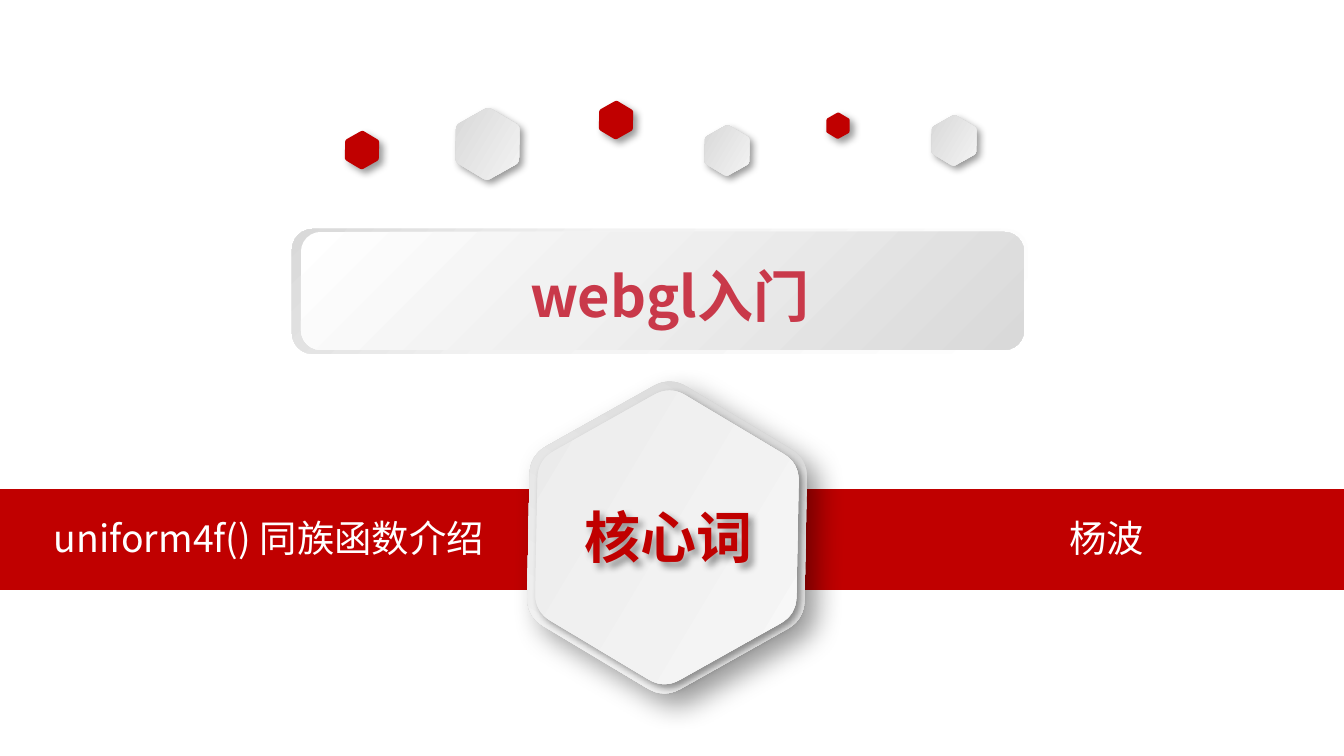
"""Build the title slide with a red band, rounded hexagons and a gradient title plate."""
from dataclasses import dataclass
from math import cos, pi, sin

from lxml.etree import SubElement
from pptx import Presentation
from pptx.dml.color import RGBColor
from pptx.enum.shapes import MSO_SHAPE
from pptx.enum.text import MSO_ANCHOR, MSO_AUTO_SIZE, PP_ALIGN
from pptx.oxml.ns import qn
from pptx.util import Pt

PX = 914400 / 134.4
SLIDE_SIZE = (1344, 756)


@dataclass(frozen=True)
class Theme:
    font: str = "Noto Sans CJK SC"
    red: str = "C00000"
    title: str = "C9394A"
    white: str = "FFFFFF"
    shadow: str = "000000"
    body_size: int = 20
    title_size: int = 30


THEME = Theme()
SILVER = ([(0, "D3D3D3"), (100, "F9F9F9")], 0)
SILVER_RIM = (SILVER[0], 270)
PALE = ([(0, "E9E9E9"), (100, "F9F9F9")], 0)
SOFT, DEEP = (4, 3), (15, 9)

BAND = (0, 489, 1344, 101)
HEXAGONS = [
    (452, 112, 71, SILVER, SOFT),
    (597, 103, 38, THEME.red, SOFT),
    (343, 133, 38, THEME.red, SOFT),
    (702, 128, 50, SILVER, SOFT),
    (825, 114, 26, THEME.red, SOFT),
    (929, 118, 50, SILVER, SOFT),
    (512, 398, 310, SILVER_RIM, DEEP),
    (521, 406, 292, PALE, SOFT),
]
PLATES = [
    ((292, 229, 736, 125), ([(0, "FFFFFF"), (62, "F2F2F2"), (100, "D9D9D9")], 135)),
    ((301, 232, 723, 118), ([(0, "FFFFFF"), (42, "F0F0F0"), (100, "D9D9D9")], 315)),
]
BAND_TEXTS = [
    ("uniform4f() 同族函数介绍", (-8, 509, 554, 59)),
    ("杨波", (872, 509, 470, 59)),
]
TITLE = ("webgl入门", (302, 255, 736, 81))
KEYWORD = ("核心词", (536, 503, 265, 67))
HEXAGON_ASPECT = 0.9
HEXAGON_TURN = 30.9
CORNER_CUT = 0.12


def emu(*lengths):
    return [round(length * PX) for length in lengths]


def paint(shape, fill):
    shape.line.fill.background()
    shape.shadow.inherit = False
    if isinstance(fill, str):
        shape.fill.solid()
        shape.fill.fore_color.rgb = RGBColor.from_string(fill)
        return
    stops, angle = fill
    shape.fill.gradient()
    shape.fill.gradient_angle = angle
    stop_list = next(shape._element.spPr.iter(qn("a:gsLst")))
    stop_list[:] = []
    for position, color in stops:
        stop = SubElement(stop_list, qn("a:gs"), pos=str(position * 1000))
        SubElement(stop, qn("a:srgbClr"), val=color)


def cast_shadow(shape, blur, distance):
    effects = shape._element.spPr.find(qn("a:effectLst"))
    shadow = SubElement(effects, qn("a:outerShdw"), blurRad=str(Pt(blur)),
                        dist=str(Pt(distance)), dir=str(45 * 60000), rotWithShape="0")
    color = SubElement(shadow, qn("a:srgbClr"), val=THEME.shadow)
    SubElement(color, qn("a:alpha"), val="40000")


def rounded_hexagon(radius, steps=8):
    corners = [(radius * cos(k * pi / 3), radius * sin(k * pi / 3)) for k in range(6)]
    points = []
    for index, corner in enumerate(corners):
        start, end = [
            [c + CORNER_CUT * (n - c) for c, n in zip(corner, neighbour)]
            for neighbour in (corners[index - 1], corners[(index + 1) % 6])
        ]
        for step in range(steps + 1):
            t = step / steps
            points.append(tuple(
                (1 - t) ** 2 * a + 2 * t * (1 - t) * c + t ** 2 * b
                for a, c, b in zip(start, corner, end)))
    return points


def add_hexagon(slide, left, top, width, fill, shadow):
    points = [emu(*point) for point in rounded_hexagon(width / 2)]
    builder = slide.shapes.build_freeform(*points[0])
    builder.add_line_segments(points[1:], close=True)
    shape = builder.convert_to_shape()
    shape.left, shape.top, shape.width, shape.height = emu(
        left, top, width, width * HEXAGON_ASPECT)
    shape.rotation = HEXAGON_TURN
    paint(shape, fill)
    cast_shadow(shape, *shadow)


def add_panel(slide, kind, box, fill):
    shape = slide.shapes.add_shape(kind, *emu(*box))
    paint(shape, fill)


def write(shape, text, size, color, bold=False):
    shape.text_frame.word_wrap = True
    paragraph = shape.text_frame.paragraphs[0]
    paragraph.text = text
    paragraph.alignment = PP_ALIGN.CENTER
    font = paragraph.font
    font.size, font.bold, font.name = Pt(size), bold, THEME.font
    font.color.rgb = RGBColor.from_string(color)
    SubElement(font._rPr, qn("a:ea"), typeface=THEME.font)


def add_label(slide, text, box, size, color, bold=False):
    shape = slide.shapes.add_textbox(*emu(*box))
    write(shape, text, size, color, bold)
    shape.text_frame.auto_size = MSO_AUTO_SIZE.SHAPE_TO_FIT_TEXT


def add_keyword(slide, text, box):
    shape = slide.shapes.add_shape(MSO_SHAPE.ROUNDED_RECTANGLE, *emu(*box))
    shape.fill.background()
    shape.line.fill.background()
    shape.shadow.inherit = False
    cast_shadow(shape, *SOFT)
    write(shape, text, THEME.title_size, THEME.red, bold=True)
    shape.text_frame.vertical_anchor = MSO_ANCHOR.MIDDLE


def main():
    presentation = Presentation()
    presentation.slide_width, presentation.slide_height = emu(*SLIDE_SIZE)
    slide = presentation.slides.add_slide(presentation.slide_layouts[6])
    add_panel(slide, MSO_SHAPE.RECTANGLE, BAND, THEME.red)
    for text, box in BAND_TEXTS:
        add_label(slide, text, box, THEME.body_size, THEME.white)
    for hexagon in HEXAGONS:
        add_hexagon(slide, *hexagon)
    for box, fill in PLATES:
        add_panel(slide, MSO_SHAPE.ROUNDED_RECTANGLE, box, fill)
    add_label(slide, *TITLE, THEME.title_size, THEME.title, bold=True)
    add_keyword(slide, *KEYWORD)
    presentation.save("out.pptx")


if __name__ == "__main__":
    main()
